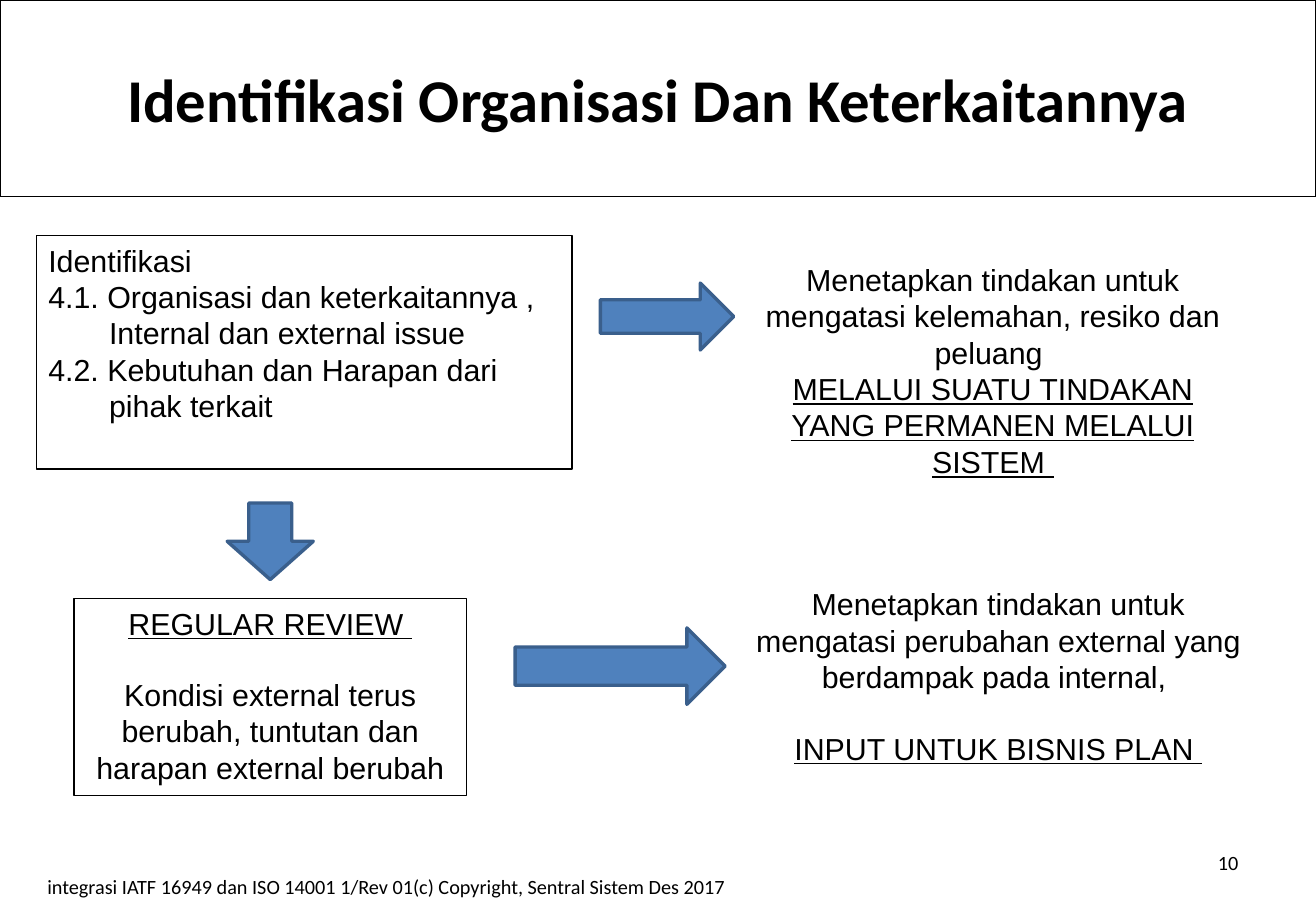
"""Builds the slide on identifying the organisation and its context."""
from dataclasses import dataclass

import pptx
import pptx.dml.color
import pptx.enum.shapes
import pptx.enum.text
import pptx.util

Cm, Pt = pptx.util.Cm, pptx.util.Pt
ALIGN = pptx.enum.text.PP_ALIGN
ANCHOR = pptx.enum.text.MSO_ANCHOR
SHAPE = pptx.enum.shapes.MSO_SHAPE

COLORS = {"text": "000000", "border": "000000", "arrow": "4F81BD", "arrow_edge": "3A5F8C"}
SLIDE_W, SLIDE_H = 27.51, 19.05
BLANK_LINE = 20.7


@dataclass
class Para:
    text: str
    underline: bool = False
    hanging: float = 0
    before: float = 0


@dataclass
class Box:
    left: float
    top: float
    width: float
    height: float
    paras: list[Para]
    align: ALIGN = ALIGN.CENTER
    border: bool = False
    font: str = "Arial"
    size: float = 18
    bold: bool = False
    anchor: ANCHOR = ANCHOR.TOP


@dataclass
class Arrow:
    kind: SHAPE
    left: float
    top: float
    width: float
    height: float


BOXES = [
    Box(0, 0, SLIDE_W, 4.11, [Para("Identifikasi Organisasi Dan Keterkaitannya")],
        border=True, font="Calibri", size=36, bold=True, anchor=ANCHOR.MIDDLE),
    Box(0.76, 4.93, 11.2, 4.88, [
        Para("Identifikasi", hanging=0.95),
        Para("4.1. Organisasi dan keterkaitannya , Internal dan external issue", hanging=1.27),
        Para("4.2. Kebutuhan dan Harapan dari pihak terkait", hanging=1.27),
    ], align=ALIGN.LEFT, border=True),
    Box(1.55, 12.52, 8.2, 4.11, [
        Para("REGULAR REVIEW ", underline=True),
        Para("Kondisi external terus berubah, tuntutan dan harapan external berubah",
             before=BLANK_LINE),
    ], border=True),
    Box(15.75, 5.33, 10.01, 4.88, [
        Para("Menetapkan tindakan untuk mengatasi kelemahan, resiko dan peluang "),
        Para("MELALUI SUATU TINDAKAN YANG PERMANEN MELALUI SISTEM ", underline=True),
    ]),
    Box(15.37, 12.12, 11, 4.11, [
        Para("Menetapkan tindakan untuk mengatasi perubahan external yang "
             "berdampak pada internal, "),
        Para("INPUT UNTUK BISNIS PLAN ", underline=True, before=BLANK_LINE),
    ]),
    Box(19.71, 17.65, 6.43, 1.02, [Para("10")], align=ALIGN.RIGHT, font="Calibri", size=12),
    Box(0.74, 18.16, 15.21, 1.02, [
        Para("integrasi IATF 16949 dan ISO 14001 1/Rev 01(c) Copyright, "
             "Sentral Sistem Des 2017"),
    ], align=ALIGN.LEFT, font="Calibri", size=12),
]

ARROWS = [
    Arrow(SHAPE.RIGHT_ARROW, 12.55, 5.92, 2.79, 1.4),
    Arrow(SHAPE.DOWN_ARROW, 4.75, 10.52, 1.8, 1.6),
    Arrow(SHAPE.RIGHT_ARROW, 10.77, 13.13, 4.39, 1.6),
]


def rgb(name: str) -> pptx.dml.color.RGBColor:
    return pptx.dml.color.RGBColor.from_string(COLORS[name])


def draw_box(s: pptx.slide.Slide, box: Box) -> None:
    sp = s.shapes.add_textbox(Cm(box.left), Cm(box.top), Cm(box.width), Cm(box.height))
    if box.border:
        sp.line.color.rgb = rgb("border")
        sp.line.width = Pt(0.75)
    tf = sp.text_frame
    tf.word_wrap = True
    tf.vertical_anchor = box.anchor
    for i, para in enumerate(box.paras):
        p = tf.add_paragraph() if i else tf.paragraphs[0]
        p.text = para.text
        p.alignment = box.align
        if para.before:
            p.space_before = Pt(para.before)
        if para.hanging:
            pPr = p._p.get_or_add_pPr()
            pPr.set("marL", str(Cm(para.hanging)))
            pPr.set("indent", str(-Cm(para.hanging)))
        p.font.name = box.font
        p.font.size = Pt(box.size)
        p.font.bold = box.bold
        p.font.underline = para.underline
        p.font.color.rgb = rgb("text")


def draw_arrow(s: pptx.slide.Slide, arrow: Arrow) -> None:
    sp = s.shapes.add_shape(arrow.kind, Cm(arrow.left), Cm(arrow.top),
                            Cm(arrow.width), Cm(arrow.height))
    sp.shadow.inherit = False
    sp.fill.solid()
    sp.fill.fore_color.rgb = rgb("arrow")
    sp.line.color.rgb = rgb("arrow_edge")
    sp.line.width = Pt(2)


def main() -> None:
    prs = pptx.Presentation()
    prs.slide_width, prs.slide_height = Cm(SLIDE_W), Cm(SLIDE_H)
    s = prs.slides.add_slide(prs.slide_layouts[6])
    for box in BOXES:
        draw_box(s, box)
    for arrow in ARROWS:
        draw_arrow(s, arrow)
    prs.save("out.pptx")


if __name__ == "__main__":
    main()
